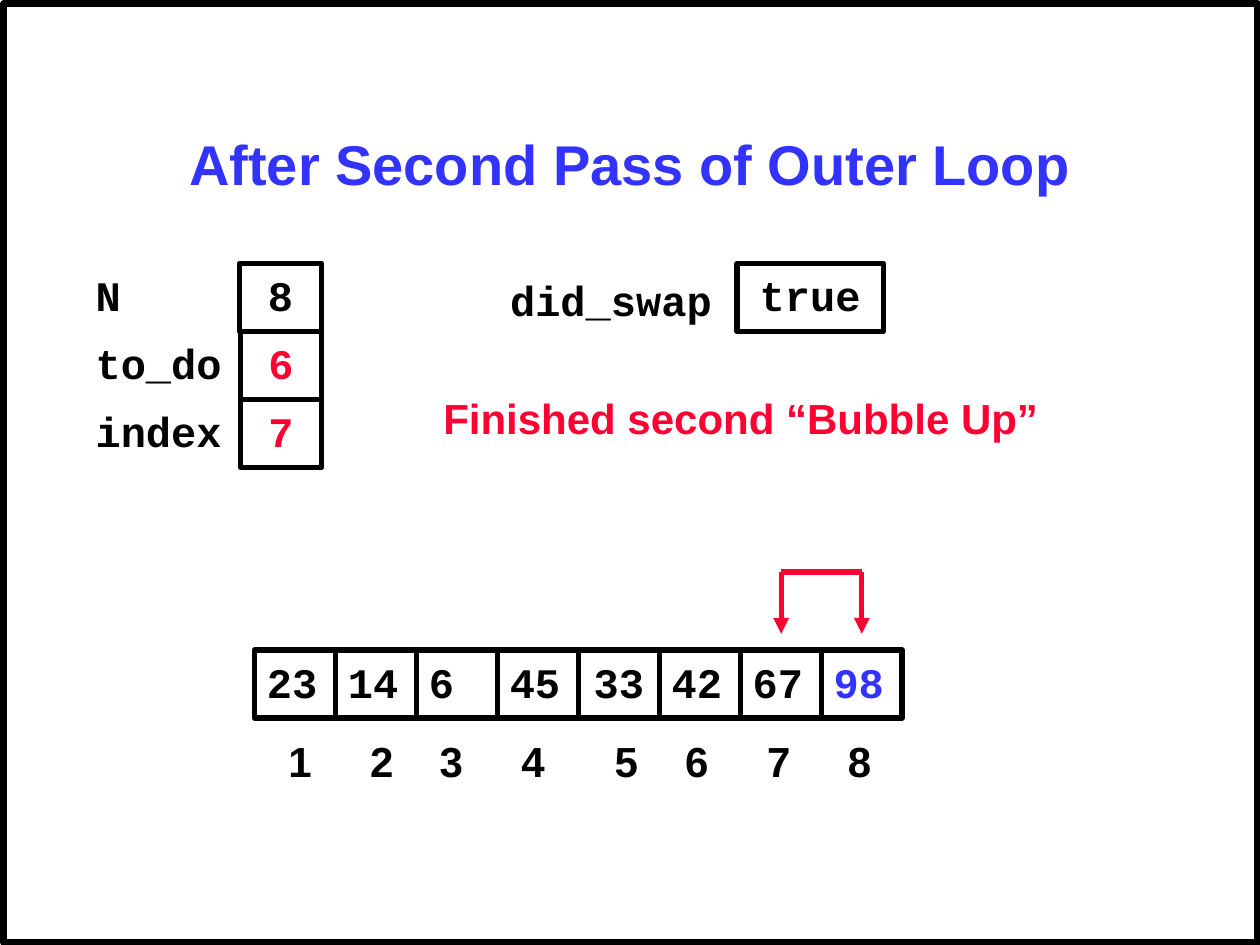
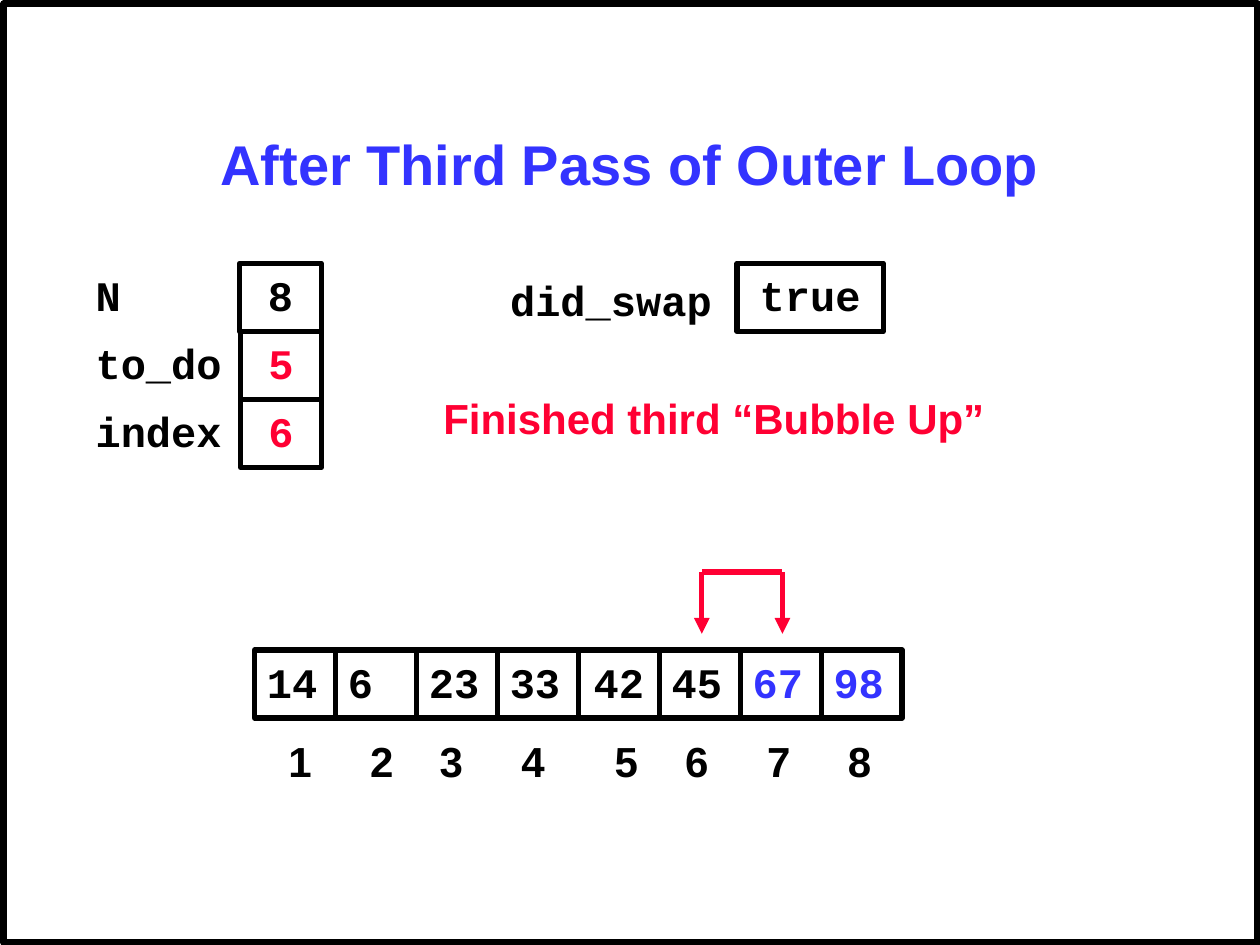
from lxml import etree
from pptx import Presentation
from pptx.dml.color import RGBColor
from pptx.enum import shapes, text
from pptx.oxml import ns
from pptx.util import Inches, Pt

# Content
PASSES = [
    {"title": "After Second Pass of Outer Loop",
     "message": "Finished second “Bubble Up”",
     "to_do": "6", "index": "7",
     "numbers": [23, 14, 6, 45, 33, 42, 67, 98],
     "sorted_count": 1, "swap_left": 6.2},
    {"title": "After Third Pass of Outer Loop",
     "message": "Finished third “Bubble Up”",
     "to_do": "5", "index": "6",
     "numbers": [14, 6, 23, 33, 42, 45, 67, 98],
     "sorted_count": 2, "swap_left": 5.57},
]

# Shared style
BLACK = RGBColor(0x00, 0x00, 0x00)
BLUE = RGBColor(0x33, 0x33, 0xFF)
RED = RGBColor(0xFF, 0x00, 0x33)
WHITE = RGBColor(0xFF, 0xFF, 0xFF)
SANS, MONO = "Arial", "Courier New"
LEFT, CENTER = text.PP_ALIGN.LEFT, text.PP_ALIGN.CENTER

# Shared layout, in inches
CELL_HEIGHT = 0.54
VARIABLES_TOP = 2.09
ARRAY_LEFT, ARRAY_TOP, ARRAY_WIDTH = 2.02, 5.16, 5.14
CENTERED_POSITION = 5
POSITION_TABS = [0.65, 1.2, 1.85, 2.59, 3.15, 3.8, 4.44]
SWAP_TOP, SWAP_TIP, SWAP_WIDTH = 4.54, 5.03, 0.64


def write(shape, words, font, color, size=24, align=LEFT,
          anchor=text.MSO_ANCHOR.TOP):
    frame = shape.text_frame
    frame.word_wrap = True
    frame.vertical_anchor = anchor
    paragraph = frame.paragraphs[0]
    paragraph.text = words
    paragraph.alignment = align
    paragraph.font.name = font
    paragraph.font.size = Pt(size)
    paragraph.font.bold = True
    paragraph.font.color.rgb = color
    return paragraph


def add_label(slide, box, words, font=MONO, color=BLACK, **style):
    label = slide.shapes.add_textbox(*map(Inches, box))
    return write(label, words, font, color, **style)


def add_outline(slide, box, weight=3):
    outline = slide.shapes.add_shape(shapes.MSO_SHAPE.RECTANGLE,
                                     *map(Inches, box))
    outline.shadow.inherit = False
    outline.fill.background()
    outline.line.color.rgb = BLACK
    outline.line.width = Pt(weight)
    return outline


def add_cell(slide, box, value, color=BLACK, align=CENTER):
    write(add_outline(slide, box), value, MONO, color, align=align)


def add_swap_line(slide, start, end, arrow=False):
    line = slide.shapes.add_connector(shapes.MSO_CONNECTOR.STRAIGHT,
                                      *map(Inches, start + end))
    line.line.color.rgb = RED
    line.line.width = Pt(3)
    if arrow:
        etree.SubElement(line.line._get_or_add_ln(), ns.qn("a:headEnd"),
                         type="triangle")
    etree.SubElement(line._element.spPr, ns.qn("a:effectLst"))


def add_frame_and_title(slide, title):
    slide.background.fill.solid()
    slide.background.fill.fore_color.rgb = WHITE
    add_outline(slide, (0.03, 0.03, 9.95, 7.45), weight=3.75)
    add_label(slide, (0.75, 0.67, 8.5, 1.25), title, SANS, BLUE, size=32,
              align=CENTER, anchor=text.MSO_ANCHOR.MIDDLE)


def add_array(slide, numbers, sorted_count):
    width = ARRAY_WIDTH / len(numbers)
    for position, number in enumerate(numbers, start=1):
        is_sorted = position > len(numbers) - sorted_count
        add_cell(slide,
                 (ARRAY_LEFT + (position - 1) * width, ARRAY_TOP,
                  width, CELL_HEIGHT),
                 str(number), BLUE if is_sorted else BLACK,
                 CENTER if position == CENTERED_POSITION else LEFT)

    # Position numbers on tab stops below the array
    positions = "\t".join(str(i + 1) for i in range(len(numbers)))
    row = add_label(slide, (2.19, 5.79, 5, 0.5), positions, SANS)
    tabs = etree.SubElement(row._p.get_or_add_pPr(), ns.qn("a:tabLst"))
    for stop in POSITION_TABS:
        etree.SubElement(tabs, ns.qn("a:tab"), pos=str(Inches(stop)), algn="l")
    # Tab stops come before the default run properties
    defaults = row._p.pPr.find(ns.qn("a:defRPr"))
    if defaults is not None:
        defaults.addprevious(tabs)


def add_variables(slide, to_do, index):
    variables = [("N", "8", BLACK), ("to_do", to_do, RED),
                 ("index", index, RED)]
    for row, (name, value, color) in enumerate(variables):
        top = VARIABLES_TOP + row * CELL_HEIGHT
        left = 1.9 if name == "N" else 1.91
        add_label(slide, (0.66, top, 1.25, 0.5), name)
        add_cell(slide, (left, top, 2.55 - left, CELL_HEIGHT), value, color)
    add_label(slide, (3.95, 2.13, 1.9, 0.5), "did_swap")
    add_cell(slide, (5.85, VARIABLES_TOP, 1.16, CELL_HEIGHT), "true")


def add_swap(slide, left):
    right = left + SWAP_WIDTH
    for x in (left, right):
        add_swap_line(slide, (x, SWAP_TIP), (x, SWAP_TOP), arrow=True)
    add_swap_line(slide, (left, SWAP_TOP), (right, SWAP_TOP))


def main():
    deck = Presentation()
    deck.slide_width, deck.slide_height = Inches(10), Inches(7.5)
    for step in PASSES:
        slide = deck.slides.add_slide(deck.slide_layouts[6])
        add_frame_and_title(slide, step["title"])
        add_array(slide, step["numbers"], step["sorted_count"])
        add_variables(slide, step["to_do"], step["index"])
        add_swap(slide, step["swap_left"])
        add_label(slide, (3.42, 3.07, 5.2, 0.5), step["message"], SANS, RED)
    deck.save("out.pptx")


if __name__ == "__main__":
    main()
